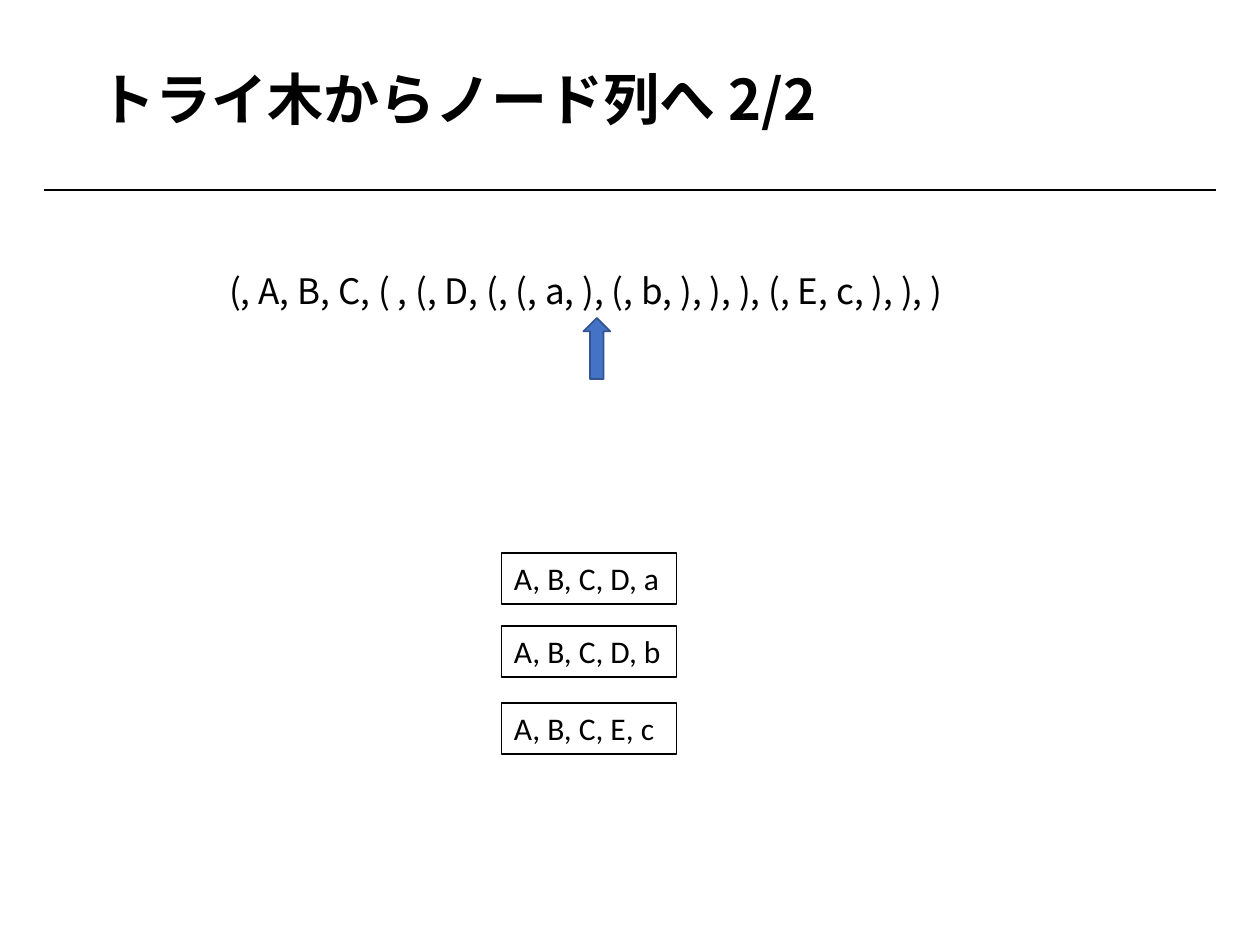
from dataclasses import dataclass

from lxml import etree
from pptx import Presentation
from pptx.dml.color import RGBColor
from pptx.enum.shapes import MSO_CONNECTOR, MSO_SHAPE
from pptx.enum.text import MSO_ANCHOR, PP_ALIGN
from pptx.oxml.ns import qn
from pptx.util import Cm, Pt

STRAIGHT = MSO_CONNECTOR.STRAIGHT
RECTANGLE = MSO_SHAPE.RECTANGLE
DOWN_ARROW = MSO_SHAPE.DOWN_ARROW
TOP, MIDDLE = MSO_ANCHOR.TOP, MSO_ANCHOR.MIDDLE
LEFT = PP_ALIGN.LEFT

COLORS = {
    "ink": "000000",
    "paper": "FFFFFF",
    "arrow": "4472C4",
    "arrow_edge": "325491",
}
JAPANESE_FONT = "Noto Sans CJK JP"
LATIN_FONT = "Calibri"


@dataclass(frozen=True)
class Area:
    """Position and size in centimetres."""
    left: float
    top: float
    width: float
    height: float

    def lengths(self) -> tuple:
        """Return the four values as lengths."""
        return Cm(self.left), Cm(self.top), Cm(self.width), Cm(self.height)


@dataclass(frozen=True)
class Path:
    """A word stored in the trie and the top of its box."""
    nodes: str
    top: float


PATHS = (
    Path("A, B, C, D, a", 11.15),
    Path("A, B, C, D, b", 12.62),
    Path("A, B, C, E, c", 14.17),
)


def color(key: str) -> RGBColor:
    """Look up a colour of the palette."""
    return RGBColor.from_string(COLORS[key])


def write(shape, text: str, *, size: float, font: str = JAPANESE_FONT,
          bold: bool = False, anchor=TOP, spacing: float = 1.0) -> None:
    """Put one formatted paragraph into a shape."""
    frame = shape.text_frame
    frame.word_wrap = True
    frame.vertical_anchor = anchor
    paragraph = frame.paragraphs[0]
    paragraph.alignment = LEFT
    paragraph.line_spacing = spacing
    run = paragraph.add_run()
    run.text = text
    run.font.size = Pt(size)
    run.font.bold = bold
    run.font.name = font
    run.font.color.rgb = color("ink")
    east_asian = etree.SubElement(run.font._element, qn("a:ea"))
    east_asian.set("typeface", JAPANESE_FONT)


def add_filled(slide, kind, area: Area, fill: str, edge: str):
    """Draw a preset shape with a fill and a one-point edge."""
    shape = slide.shapes.add_shape(kind, *area.lengths())
    shape.shadow.inherit = False
    shape.fill.solid()
    shape.fill.fore_color.rgb = color(fill)
    shape.line.color.rgb = color(edge)
    shape.line.width = Pt(1)
    return shape


def add_rule(slide, left: float, right: float, top: float) -> None:
    """Draw the horizontal rule under the title."""
    rule = slide.shapes.add_connector(
        STRAIGHT, Cm(left), Cm(top), Cm(right), Cm(top))
    rule.line.color.rgb = color("ink")
    rule.line.width = Pt(1.5)
    etree.SubElement(rule._element.spPr, qn("a:effectLst"))


def main() -> None:
    """Build and save the slide."""
    deck = Presentation()
    deck.slide_width, deck.slide_height = Cm(25.4), Cm(19.05)
    slide = deck.slides.add_slide(deck.slide_layouts[6])

    add_rule(slide, 0.89, 24.51, 3.83)

    title = slide.shapes.add_textbox(*Area(1.75, 0.76, 21.9, 2.59).lengths())
    write(title, "トライ木からノード列へ 2/2", size=32, bold=True,
          anchor=MIDDLE, spacing=0.9)

    sequence = slide.shapes.add_textbox(*Area(4.37, 5.3, 16.66, 1.11).lengths())
    write(sequence,
          "(, A, B, C, ( , (, D, (, (, a, ), (, b, ), ), ), (, E, c, ), ), )",
          size=20)

    cursor = add_filled(slide, DOWN_ARROW, Area(11.76, 6.41, 0.54, 1.23),
                        "arrow", "arrow_edge")
    cursor.rotation = 180

    for path in PATHS:
        box = add_filled(slide, RECTANGLE, Area(10.11, path.top, 3.53, 1.03),
                         "paper", "ink")
        write(box, path.nodes, size=18, font=LATIN_FONT)

    deck.save("out.pptx")


main()
